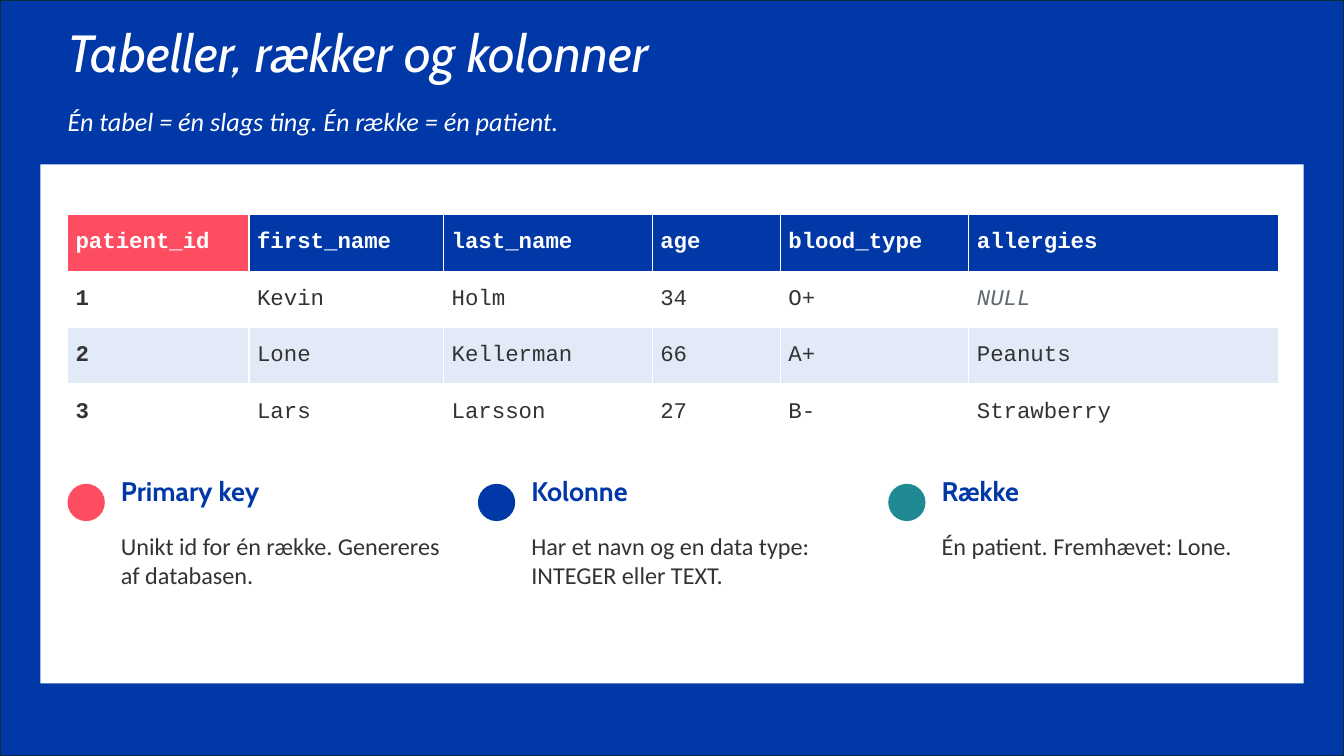
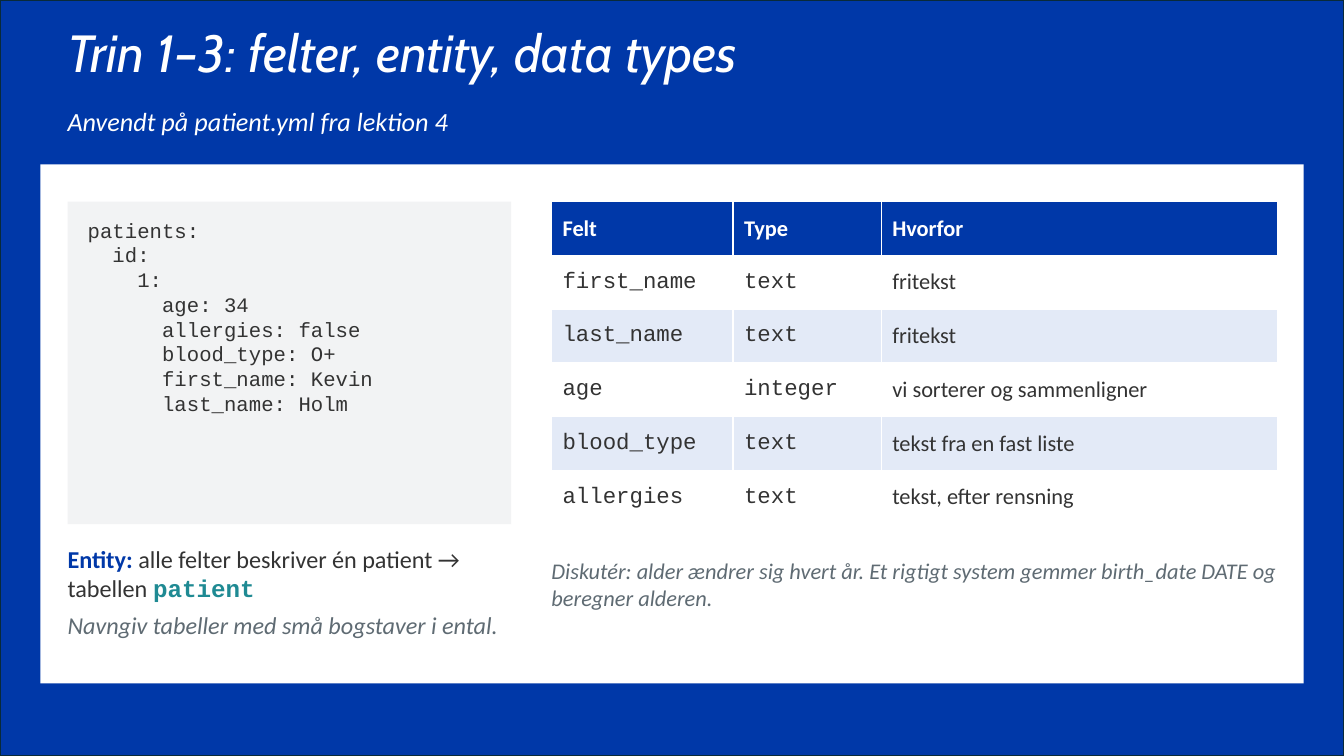
from pptx import Presentation
from pptx.dml.color import RGBColor
from pptx.enum.shapes import MSO_SHAPE
from pptx.enum.text import MSO_ANCHOR
from pptx.util import Inches, Pt

RECT, OVAL = MSO_SHAPE.RECTANGLE, MSO_SHAPE.OVAL
TOP, MIDDLE = MSO_ANCHOR.TOP, MSO_ANCHOR.MIDDLE

BLUE = RGBColor(0x00, 0x38, 0xA8)
NAVY = RGBColor(0x09, 0x2A, 0x39)
RED = RGBColor(0xFE, 0x4C, 0x61)
TEAL = RGBColor(0x1F, 0x8A, 0x93)
PALE = RGBColor(0xE3, 0xEA, 0xF7)
LIGHT = RGBColor(0xF2, 0xF3, 0xF4)
WHITE = RGBColor(0xFF, 0xFF, 0xFF)
DARK = RGBColor(0x33, 0x33, 0x33)
GREY = RGBColor(0x5F, 0x6B, 0x73)
HEAD, BODY, MONO = "Cabin", "Calibri", "Courier New"

# Page grid, in inches
WIDE, HIGH = 13.33, 7.5
EDGE = 0.67
SPAN = 12

# Content: patient table and its key
ROWS = [
    ["patient_id", "first_name", "last_name", "age", "blood_type", "allergies"],
    ["1", "Kevin", "Holm", "34", "O+", "NULL"],
    ["2", "Lone", "Kellerman", "66", "A+", "Peanuts"],
    ["3", "Lars", "Larsson", "27", "B-", "Strawberry"],
]
KEYS = [
    (RED, "Primary key", "Unikt id for én række. Genereres af databasen."),
    (BLUE, "Kolonne", "Har et navn og en data type: INTEGER eller TEXT."),
    (TEAL, "Række", "Én patient. Fremhævet: Lone."),
]

# Content: source file, entity and field types
CODE = """patients:
  id:
    1:
      age: 34
      allergies: false
      blood_type: O+
      first_name: Kevin
      last_name: Holm""".split("\n")
ENTITY = [
    [("Entity: ", dict(color=BLUE, bold=True)),
     "alle felter beskriver én patient → tabellen ",
     ("patient", dict(font=MONO, color=TEAL, bold=True))],
    [("Navngiv tabeller med små bogstaver i ental.",
      dict(color=GREY, italic=True))],
]
FIELDS = [
    ["Felt", "Type", "Hvorfor"],
    ["first_name", "text", "fritekst"],
    ["last_name", "text", "fritekst"],
    ["age", "integer", "vi sorterer og sammenligner"],
    ["blood_type", "text", "tekst fra en fast liste"],
    ["allergies", "text", "tekst, efter rensning"],
]
TALK = ("Diskutér: alder ændrer sig hvert år. Et rigtigt system gemmer "
        "birth_date DATE og beregner alderen.")


def style(run, size=16, font=BODY, color=DARK, bold=False, italic=False):
    face = run.font
    face.size, face.name = Pt(size), font
    face.bold, face.italic = bold, italic
    face.color.rgb = color


def write(frame, paras, lead=None, after=None, **fmt):
    """Fill a frame: paras is a string or a list of strings or run lists."""
    for i, runs in enumerate([paras] if isinstance(paras, str) else paras):
        para = frame.paragraphs[0] if i == 0 else frame.add_paragraph()
        if lead:
            para.line_spacing = lead
        if after:
            para.space_after = Pt(after)
        for part in [runs] if isinstance(runs, str) else runs:
            words, extra = (part, {}) if isinstance(part, str) else part
            run = para.add_run()
            run.text = words
            style(run, **{**fmt, **extra})


def label(slide, box, paras, **fmt):
    frame = slide.shapes.add_textbox(*map(Inches, box)).text_frame
    frame.word_wrap = True
    frame.vertical_anchor = TOP
    frame.margin_left = frame.margin_right = 0
    frame.margin_top = frame.margin_bottom = 0
    write(frame, paras, **fmt)


def block(slide, box, fill, kind=RECT, edge=None):
    shape = slide.shapes.add_shape(kind, *map(Inches, box))
    shape.shadow.inherit = False
    shape.fill.solid()
    shape.fill.fore_color.rgb = fill
    if edge:
        shape.line.color.rgb = edge
        shape.line.width = Pt(1.5)
    else:
        shape.line.fill.background()


def grid(slide, box, cols, rows, pad, look):
    """Draw a banded table; look(row, col, words) gives fill and format."""
    table = slide.shapes.add_table(
        len(rows), len(cols), *map(Inches, box)).table
    for col, width in zip(table.columns, cols):
        col.width = Inches(width)
    for r, row in enumerate(rows):
        table.rows[r].height = Inches(box[3] / len(rows))
        for c, words in enumerate(row):
            cell = table.cell(r, c)
            fill, fmt = look(r, c, words)
            cell.fill.solid()
            cell.fill.fore_color.rgb = fill
            cell.vertical_anchor = MIDDLE
            cell.margin_left = cell.margin_right = Inches(pad[0])
            cell.margin_top = cell.margin_bottom = Inches(pad[1])
            write(cell.text_frame, words, **fmt)


def band(r):
    return WHITE if r % 2 else PALE


def person(r, c, words):
    if r == 0:
        return (BLUE if c else RED), dict(font=MONO, color=WHITE, bold=True)
    null = words == "NULL"
    return band(r), dict(font=MONO, bold=c == 0, italic=null,
                         color=GREY if null else DARK)


def field(r, c, words):
    if r == 0:
        return BLUE, dict(color=WHITE, bold=True)
    return band(r), dict(font=BODY if c == 2 else MONO)


def page(deck, title, lead):
    """Add a slide with the shared frame, title and subtitle."""
    slide = deck.slides.add_slide(deck.slide_layouts[6])
    block(slide, (0, 0, WIDE, HIGH), BLUE, edge=NAVY)
    label(slide, (EDGE, 0.27, SPAN, 0.73), title, lead=0.9,
          size=37.3, font=HEAD, color=WHITE, italic=True)
    block(slide, (0.4, 1.63, 12.53, 5.15), WHITE)
    label(slide, (EDGE, 1.04, SPAN, 0.47), lead,
          size=18.7, color=WHITE, italic=True)
    return slide


def tables(deck):
    slide = page(deck, "Tabeller, rækker og kolonner",
                 "Én tabel = én slags ting. Én række = én patient.")
    grid(slide, (EDGE, 2.13, SPAN, 2.24),
         (1.8, 1.93, 2.07, 1.27, 1.87, 3.07), ROWS, (0.08, 0.05), person)
    # Key: dot, heading and note in three columns
    step, dot, gap = 4.07, 0.37, 0.53
    for i, (color, head, note) in enumerate(KEYS):
        x = EDGE + i * step
        block(slide, (x, 4.8, dot, dot), color, OVAL)
        label(slide, (x + gap, 4.71, 3.33, 0.53), head,
              size=19.2, font=HEAD, color=BLUE, bold=True)
        label(slide, (x + gap, 5.27, 3.33, 1.07), note, size=17.3)


def types(deck):
    slide = page(deck, "Trin 1–3: felter, entity, data types",
                 "Anvendt på patient.yml fra lektion 4")
    left, top, tall = 4.4, 2, 3.2
    # Left: code panel and entity text
    block(slide, (EDGE, top, left, tall), LIGHT)
    label(slide, (EDGE + 0.2, top + 0.16, left - 0.4, 2.93), CODE,
          size=14.7, font=MONO)
    label(slide, (EDGE, 5.4, left, 1.33), ENTITY, after=5.3, size=17.3)
    # Right: field table and discussion
    x = EDGE + left + 0.4
    wide = SPAN - left - 0.4
    grid(slide, (x, top, wide, tall), (1.8, 1.47, 3.93), FIELDS,
         (0.11, 0.04), field)
    label(slide, (x, 5.53, wide, 1.07), TALK, color=GREY, italic=True)


def main():
    deck = Presentation()
    deck.slide_width, deck.slide_height = Inches(WIDE), Inches(HIGH)
    tables(deck)
    types(deck)
    deck.save("out.pptx")


if __name__ == "__main__":
    main()
